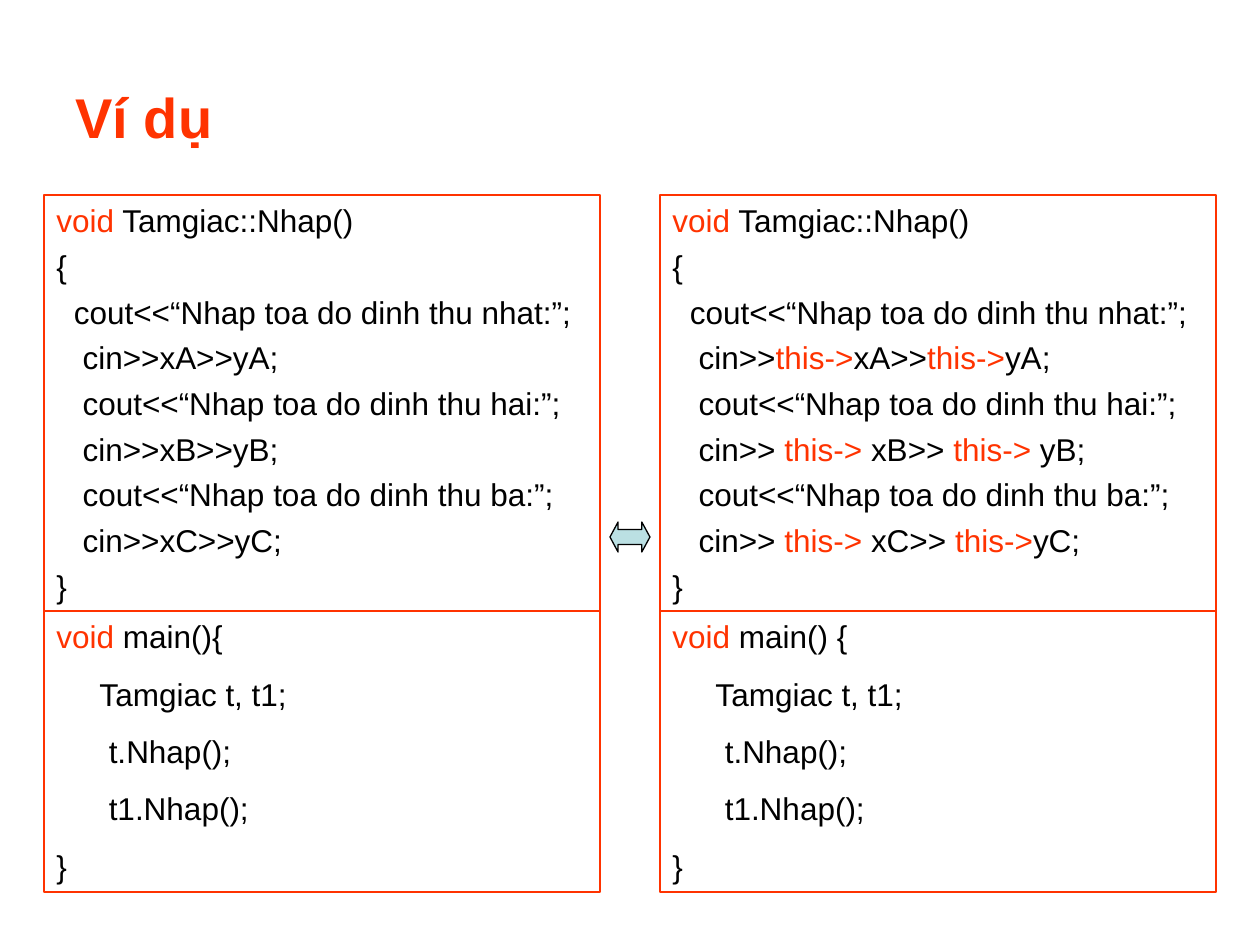
from pptx import Presentation
from pptx.dml.color import RGBColor
from pptx.enum.shapes import MSO_SHAPE as SHAPE
from pptx.enum.text import MSO_ANCHOR as ANCHOR, MSO_AUTO_SIZE as AUTO, PP_ALIGN as ALIGN
from pptx.util import Pt

PX = 914400 // 126
COLORS = {"accent": "FF3300", "text": "000000", "arrow": "BBE0E3"}
FONT = "Arial"
KEYWORD_MARK = "|"

INPUT_BODY = """|void| Tamgiac::Nhap()
{{
  cout<<“Nhap toa do dinh thu nhat:”;
   cin>>{}
   cout<<“Nhap toa do dinh thu hai:”;
   cin>>{}
   cout<<“Nhap toa do dinh thu ba:”;
   cin>>{}
}}"""
MAIN_BODY = """|void| main(){}{{
     Tamgiac t, t1;
      t.Nhap();
      t1.Nhap();
}}"""
COLUMNS = [
    (44, ("xA>>yA;", "xB>>yB;", "xC>>yC;"), ""),
    (660, ("|this->|xA>>|this->|yA;", " |this->| xB>> |this->| yB;",
           " |this->| xC>> |this->|yC;"), " "),
]


def px(*lengths):
    """Turn pixel lengths into EMU."""
    return [n * PX for n in lengths]


def rgb(name):
    """Look up a named colour."""
    return RGBColor.from_string(COLORS[name])


def style_run(r, size, color, bold=False):
    """Set the font of one run."""
    r.font.name, r.font.size, r.font.bold = FONT, Pt(size), bold
    r.font.color.rgb = rgb(color)


def add_title(s, text):
    """Place and format the slide title."""
    sp = s.shapes.title
    sp.left, sp.top, sp.width, sp.height = px(63, 37, 1134, 158)
    tf = sp.text_frame
    tf.text = text
    tf.vertical_anchor = ANCHOR.MIDDLE
    p = tf.paragraphs[0]
    p.alignment = ALIGN.JUSTIFY
    style_run(p.runs[0], 32, "accent", True)


def add_outlined(s, kind, box, line):
    """Add an unfilled shape with a thin outline."""
    sp = s.shapes.add_shape(kind, *px(*box))
    sp.shadow.inherit = False
    sp.fill.background()
    sp.line.color.rgb = rgb(line)
    sp.line.width = Pt(0.75)
    return sp


def add_code(s, box, code, before, hanging=0, auto_size=AUTO.NONE):
    """Add a code box whose marked words are highlighted."""
    tf = add_outlined(s, SHAPE.RECTANGLE, box, "accent").text_frame
    tf.word_wrap, tf.auto_size = True, auto_size
    tf.vertical_anchor = ANCHOR.TOP
    for i, line in enumerate(code.split("\n")):
        p = tf.add_paragraph() if i else tf.paragraphs[0]
        p.alignment = ALIGN.LEFT
        p.space_before = Pt(before)
        if hanging:
            pPr = p._p.get_or_add_pPr()
            pPr.set("marL", str(hanging * PX))
            pPr.set("indent", str(-hanging * PX))
        for j, part in enumerate(line.split(KEYWORD_MARK)):
            if part:
                r = p.add_run()
                r.text = part
                style_run(r, 18, "accent" if j % 2 else "text")


def add_arrow(s, box):
    """Add the double arrow between the columns."""
    sp = add_outlined(s, SHAPE.LEFT_RIGHT_ARROW, box, "text")
    sp.fill.solid()
    sp.fill.fore_color.rgb = rgb("arrow")
    sp.adjustments[0], sp.adjustments[1] = 0.5, 0.27


def main():
    """Build and save the slide."""
    prs = Presentation()
    prs.slide_width, prs.slide_height = px(1260, 945)
    s = prs.slides.add_slide(prs.slide_layouts[5])
    add_title(s, "Ví dụ")
    for left, inputs, gap in COLUMNS:
        add_code(s, (left, 195, 556, 416), INPUT_BODY.format(*inputs), 4.5, hanging=84)
        add_code(s, (left, 611, 556, 281), MAIN_BODY.format(gap), 11.2,
                 auto_size=AUTO.SHAPE_TO_FIT_TEXT)
    add_arrow(s, (610, 522, 40, 30))
    prs.save("out.pptx")


if __name__ == "__main__":
    main()
